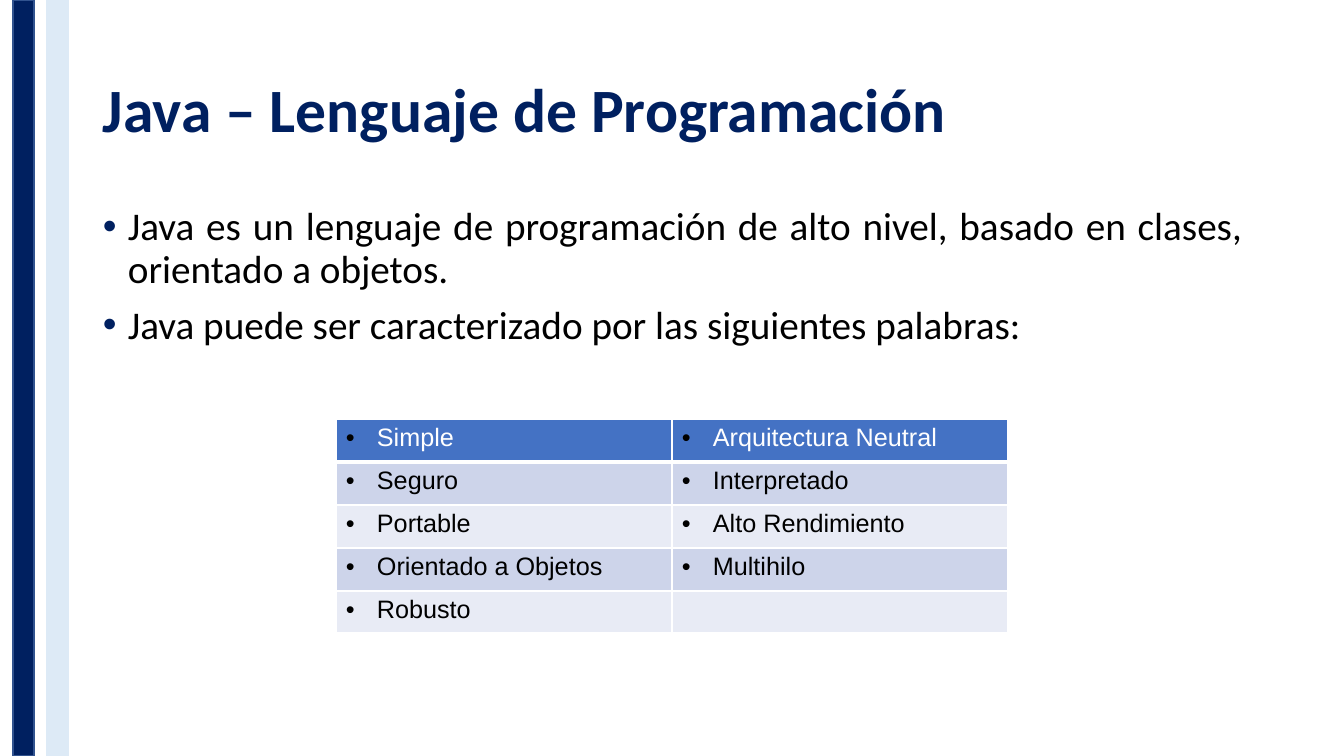
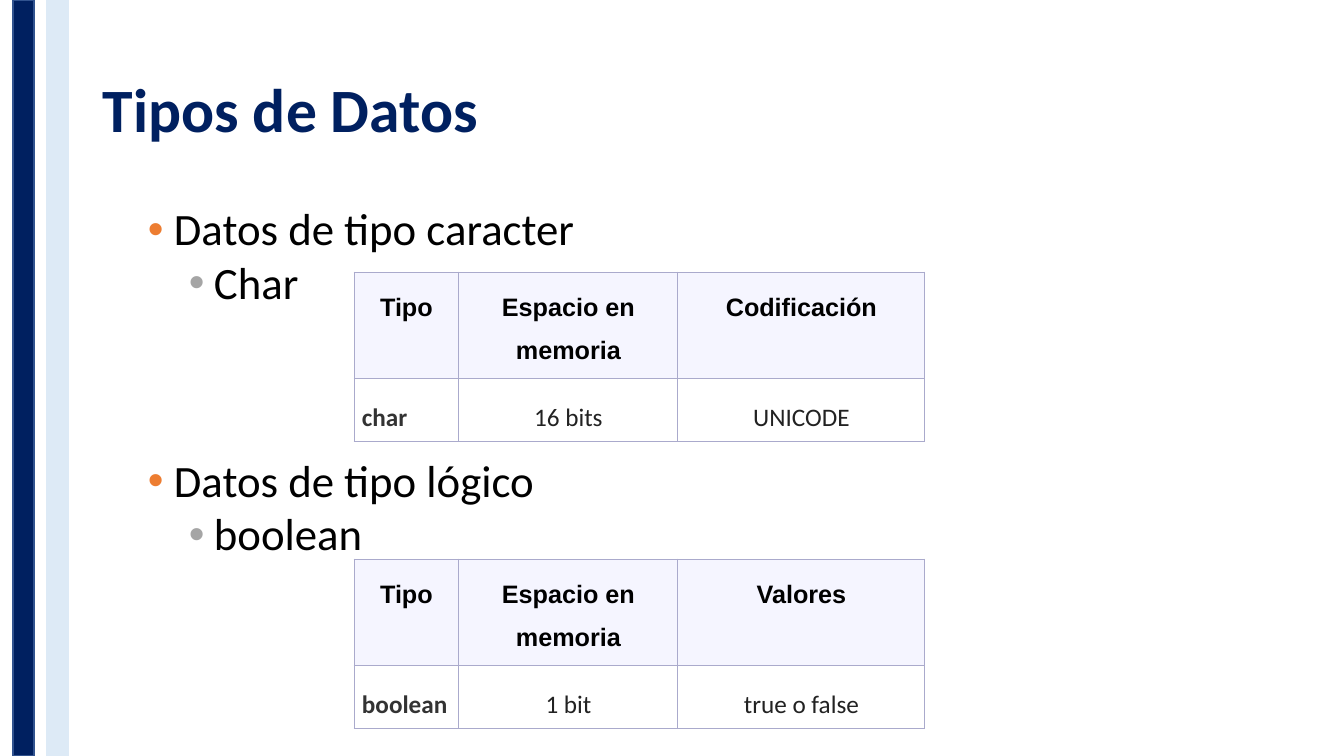
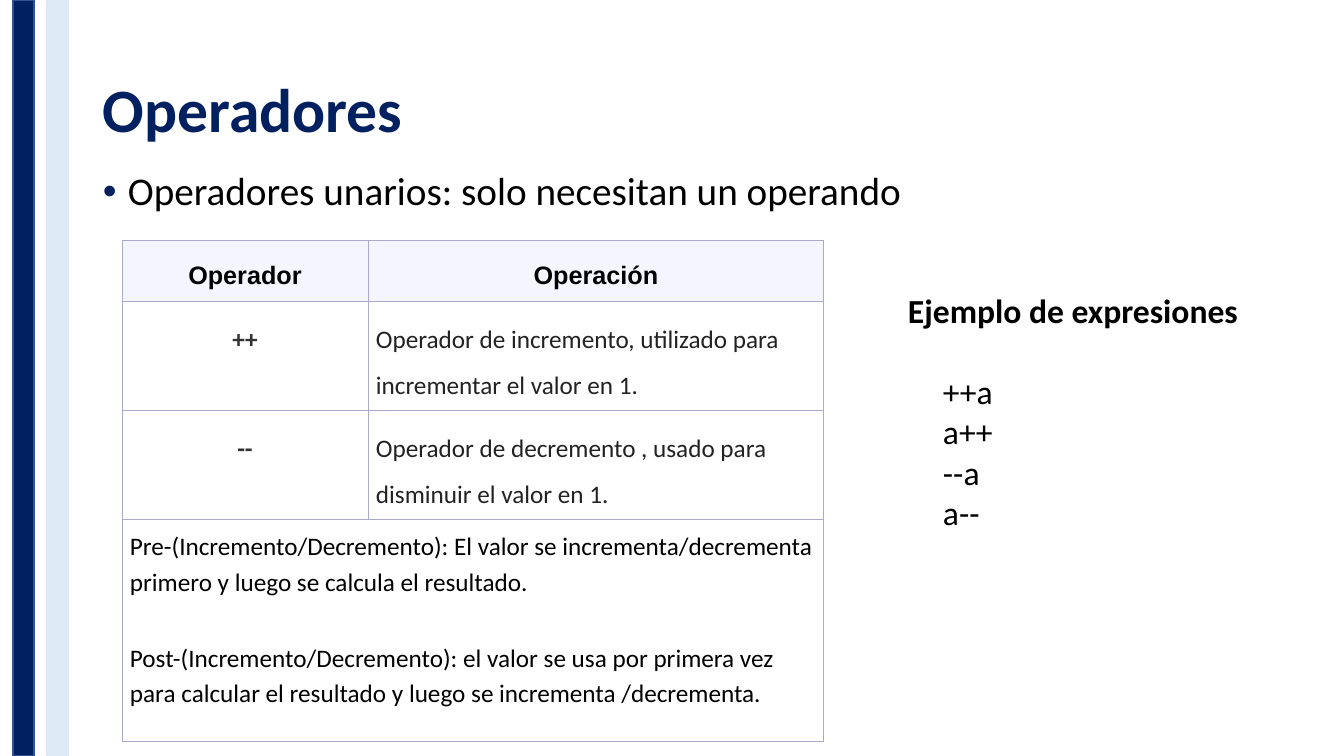
from lxml import etree
from pptx import Presentation
from pptx.dml.color import RGBColor
from pptx.enum.shapes import MSO_SHAPE
from pptx.enum.text import MSO_ANCHOR, PP_ALIGN
from pptx.oxml.ns import qn
from pptx.util import Pt

RECTANGLE = MSO_SHAPE.RECTANGLE
MIDDLE = MSO_ANCHOR.MIDDLE
LEFT, CENTER, JUSTIFY = PP_ALIGN.LEFT, PP_ALIGN.CENTER, PP_ALIGN.JUSTIFY

NAVY = RGBColor(0x00, 0x20, 0x60)
BAND_EDGE = RGBColor(0x31, 0x53, 0x8F)
PALE_BLUE = RGBColor(0xDD, 0xEA, 0xF6)
BLACK = RGBColor(0x00, 0x00, 0x00)
WHITE = RGBColor(0xFF, 0xFF, 0xFF)
ORANGE = RGBColor(0xED, 0x7D, 0x31)
GRAY = RGBColor(0xA5, 0xA5, 0xA5)
BLUE = RGBColor(0x44, 0x72, 0xC4)
BLUE_ROW = RGBColor(0xCD, 0xD4, 0xEA)
LIGHT_ROW = RGBColor(0xE8, 0xEB, 0xF5)
LILAC = RGBColor(0xF5, 0xF5, 0xFF)
LILAC_EDGE = RGBColor(0xAA, 0xAA, 0xCC)
DARK_TEXT = RGBColor(0x33, 0x33, 0x33)
VALUE_TEXT = RGBColor(0x22, 0x22, 0x22)

# The slide is 1344 x 756 px
SCALE = 12192000 / 1344


def px(length):
    return round(length * SCALE)


def write(paragraph, text, size=18, color=BLACK, bold=False, font="Calibri",
          spacing=1.0, before=0, align=LEFT, left=0, hang=0, bullet=None):
    properties = paragraph._p.get_or_add_pPr()
    properties.set("marL", str(px(left)))
    properties.set("indent", str(px(-hang)))
    if bullet is not None:
        bullet_color = etree.SubElement(properties, qn("a:buClr"))
        etree.SubElement(bullet_color, qn("a:srgbClr")).set("val", str(bullet))
        etree.SubElement(properties, qn("a:buFont")).set("typeface", "Arial")
        etree.SubElement(properties, qn("a:buChar")).set("char", "•")
    paragraph.alignment = align
    paragraph.line_spacing = spacing
    if before:
        paragraph.space_before = Pt(before)
    run = paragraph.add_run()
    run.text = text
    run.font.size = Pt(size)
    run.font.name = font
    run.font.bold = bold
    run.font.color.rgb = color


# Paragraph styles of the body text
POINT = dict(size=28, spacing=0.9, left=25, hang=25, bullet=NAVY)
TOPIC = dict(size=32, spacing=0.9, left=71, hang=26, bullet=ORANGE)
SUBTOPIC = dict(size=32, spacing=0.9, left=111, hang=25, bullet=GRAY, before=3.6)

# Title, top of the body, and body paragraphs of each slide
CONTENT = [
    ("Java – Lenguaje de Programación", 202, [
        ("Java es un lenguaje de programación de alto nivel, basado en clases, "
         "orientado a objetos.", dict(POINT, align=JUSTIFY)),
        ("Java puede ser caracterizado por las siguientes palabras:",
         dict(POINT, align=JUSTIFY, before=10)),
    ]),
    ("Tipos de Datos", 202, [
        ("Datos de tipo caracter", TOPIC),
        ("Char", SUBTOPIC),
        ("Datos de tipo lógico", dict(TOPIC, before=107)),
        ("boolean", SUBTOPIC),
    ]),
    ("Operadores", 167, [
        ("Operadores unarios: solo necesitan un operando", POINT),
    ]),
]

prs = Presentation()
prs.slide_width, prs.slide_height = px(1344), px(756)
slides = []
for title, body_top, body in CONTENT:
    slide = prs.slides.add_slide(prs.slide_layouts[6])
    slides.append(slide)

    # Side bands
    for band_left, fill, edge in [(13, NAVY, BAND_EDGE), (47, PALE_BLUE, PALE_BLUE)]:
        band = slide.shapes.add_shape(RECTANGLE, px(band_left), 0, px(21), px(756))
        band.shadow.inherit = False
        band.fill.solid()
        band.fill.fore_color.rgb = fill
        band.line.color.rgb = edge
        band.line.width = Pt(1)

    # Title
    heading = slide.shapes.add_textbox(px(93), px(40), px(1159), px(146)).text_frame
    heading.word_wrap = True
    heading.vertical_anchor = MIDDLE
    write(heading.paragraphs[0], title, 44, NAVY, bold=True, spacing=0.9)

    # Body
    points = slide.shapes.add_textbox(px(93), px(body_top), px(1159), px(480)).text_frame
    points.word_wrap = True
    for i, (text, style) in enumerate(body):
        write(points.add_paragraph() if i else points.paragraphs[0], text, **style)

# Cell styles: fill and text
ITEM = dict(font="Arial", left=31, hang=31, bullet=BLACK)
FEATURE_HEAD = (BLUE, dict(ITEM, color=WHITE))
FEATURE_DARK = (BLUE_ROW, ITEM)
FEATURE_LIGHT = (LIGHT_ROW, ITEM)
HEAD = (LILAC, dict(font="Arial", bold=True, align=CENTER, spacing=1.5))
NAME = (WHITE, dict(color=DARK_TEXT, bold=True, spacing=1.5))
SYMBOL = (WHITE, dict(NAME[1], align=CENTER))
MEANING = (WHITE, dict(color=VALUE_TEXT, spacing=1.5))
VALUE = (WHITE, dict(MEANING[1], align=CENTER))
NOTE = (WHITE, dict(spacing=1.15))

TYPE_WIDTHS, TYPE_HEIGHTS = [105, 219, 247], [102, 63]
TYPE_STYLES = [[HEAD] * 3, [NAME, VALUE, VALUE]]
FEATURE_LINES = (WHITE, 1, 3)
LILAC_LINES = (LILAC_EDGE, 0.75, 0.75)

# Slide, left, top, widths, heights, margins, lines, cell styles, rows
TABLES = [
    (slides[0], 336, 419, [336] * 2, [43] * 4 + [42], (10, 5), FEATURE_LINES,
     [[look] * 2 for look in
      (FEATURE_HEAD, FEATURE_DARK, FEATURE_LIGHT, FEATURE_DARK, FEATURE_LIGHT)],
     [["Simple", "Arquitectura Neutral"],
      ["Seguro", "Interpretado"],
      ["Portable", "Alto Rendimiento"],
      ["Orientado a Objetos", "Multihilo"],
      ["Robusto", ""]]),
    (slides[1], 354, 272, TYPE_WIDTHS, TYPE_HEIGHTS, (8, 8), LILAC_LINES, TYPE_STYLES,
     [["Tipo", "Espacio en memoria", "Codificación"],
      ["char", "16 bits", "UNICODE"]]),
    (slides[1], 354, 559, TYPE_WIDTHS, TYPE_HEIGHTS, (8, 8), LILAC_LINES, TYPE_STYLES,
     [["Tipo", "Espacio en memoria", "Valores"],
      ["boolean", "1 bit", "true o false"]]),
    (slides[2], 122, 240, [246, 456], [59, 109, 109, 222], (8, 8), LILAC_LINES,
     [[HEAD] * 2, [SYMBOL, MEANING], [SYMBOL, MEANING], [NOTE] * 2],
     [["Operador", "Operación"],
      ["++", "Operador de incremento, utilizado para incrementar el valor en 1."],
      ["--", "Operador de decremento , usado para disminuir el valor en 1."],
      ["Pre-(Incremento/Decremento): El valor se incrementa/decrementa primero "
       "y luego se calcula el resultado.\n"
       "Post-(Incremento/Decremento): el valor se usa por primera vez para calcular "
       "el resultado y luego se incrementa /decrementa.", ""]]),
]

for slide, left, top, widths, heights, margins, lines, styles, rows in TABLES:
    table = slide.shapes.add_table(len(heights), len(widths), px(left), px(top),
                                   px(sum(widths)), px(sum(heights))).table
    table.horz_banding = False
    for column, width in zip(table.columns, widths):
        column.width = px(width)
    for row, height in zip(table.rows, heights):
        row.height = px(height)
    line_color, line_width, head_line_width = lines

    for r, texts in enumerate(rows):
        for c, text in enumerate(texts):
            cell = table.cell(r, c)
            fill, style = styles[r][c]
            cell.margin_left = cell.margin_right = px(margins[0])
            cell.margin_top = cell.margin_bottom = px(margins[1])
            cell.fill.solid()
            cell.fill.fore_color.rgb = fill
            for i, line in enumerate(text.split("\n") if text else []):
                frame = cell.text_frame
                write(frame.add_paragraph() if i else frame.paragraphs[0], line,
                      before=29 if i else 0, **style)

            # Cell borders, the one under the header with its own width
            for i, side in enumerate(["lnL", "lnR", "lnT", "lnB"]):
                under_head = (r, side) in [(0, "lnB"), (1, "lnT")]
                border = etree.Element(qn("a:" + side))
                border.set("w", str(Pt(head_line_width if under_head else line_width)))
                paint = etree.SubElement(border, qn("a:solidFill"))
                etree.SubElement(paint, qn("a:srgbClr")).set("val", str(line_color))
                cell._tc.get_or_add_tcPr().insert(i, border)

# The note spans both columns of the operator table
table.cell(3, 0).merge(table.cell(3, 1))

# Example expressions
examples = slides[2].shapes.add_textbox(px(883), px(280), px(392), px(181)).text_frame
examples.word_wrap = True
examples.margin_left = examples.margin_right = px(10)
examples.margin_top = examples.margin_bottom = px(10)
write(examples.paragraphs[0], "Ejemplo de expresiones", 24, bold=True, left=15)
for i, expression in enumerate(["++a", "a++", "--a", "a--"]):
    write(examples.add_paragraph(), expression, 24, left=50, before=0 if i else 29)

prs.save("out.pptx")
